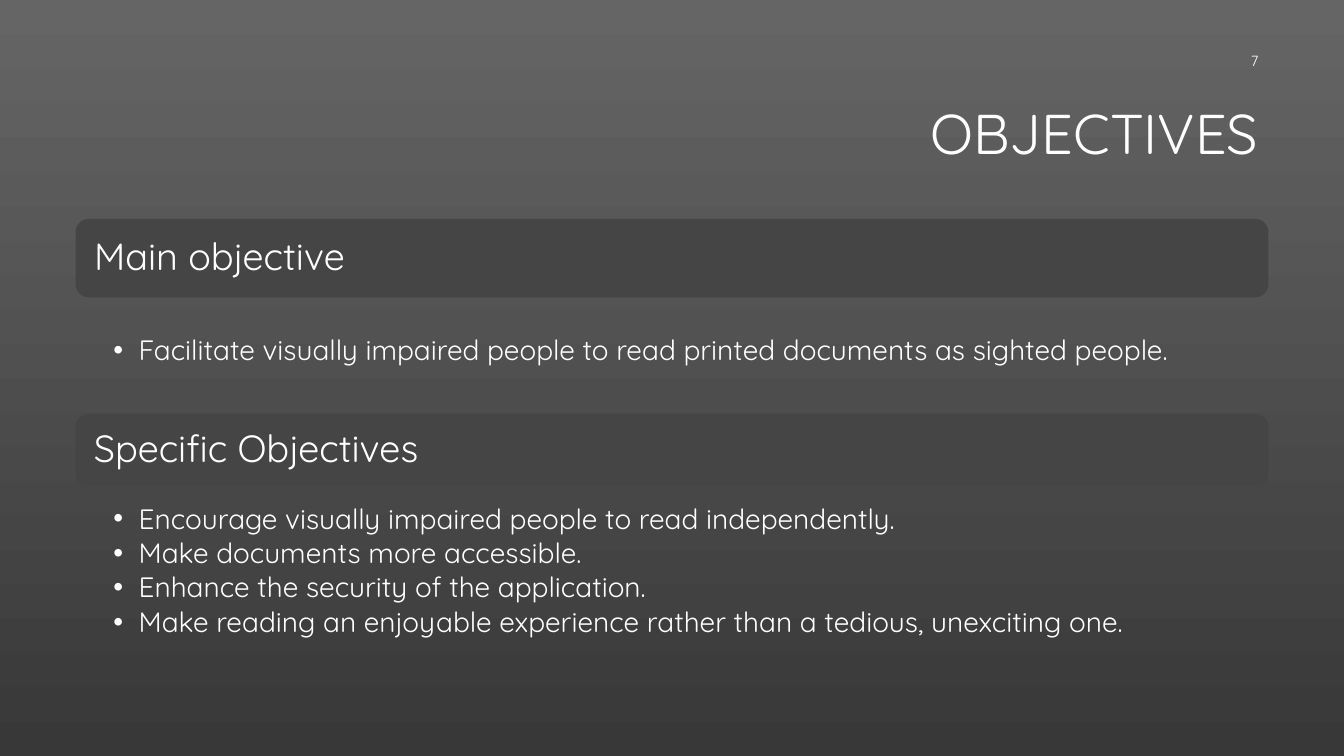
"""Build the Objectives slide with two headed bullet lists."""
from pptx import Presentation
from pptx.dml.color import RGBColor
from pptx.enum import shapes, text
from pptx.util import Pt

WHITE = RGBColor(0xFF, 0xFF, 0xFF)
BAR = RGBColor(0x45, 0x45, 0x45)
BACKGROUND_TOP = RGBColor(0x65, 0x65, 0x65)
BACKGROUND_BOTTOM = RGBColor(0x38, 0x38, 0x38)
FONT = "Quicksand"
LEFT, WIDTH = 54, 852

SECTIONS = [
    ("Main objective", 156.4, 56, 83.5, 27.7, [
        "Facilitate visually impaired people to read printed documents as sighted people.",
    ]),
    ("Specific Objectives", 295.9, 51.2, 117.4, 13.5, [
        "Encourage visually impaired people to read independently.",
        "Make documents more accessible.",
        "Enhance the security of the application.",
        "Make reading an enjoyable experience rather than a tedious, unexciting one.",
    ]),
]


def place(shape, left, top, width, height):
    """Set the position and size of a shape in points."""
    shape.left, shape.top = Pt(left), Pt(top)
    shape.width, shape.height = Pt(width), Pt(height)


def prepare_frame(shape, anchor):
    """Return the wrapped text frame of a shape with a fixed size."""
    frame = shape.text_frame
    frame.word_wrap = True
    frame.auto_size = text.MSO_AUTO_SIZE.NONE
    frame.vertical_anchor = anchor
    return frame


def write(paragraph, words, size, alignment=text.PP_ALIGN.LEFT):
    """Add one white run to a paragraph."""
    paragraph.alignment = alignment
    paragraph.line_spacing = 0.9
    paragraph.space_before = Pt(0)
    run = paragraph.add_run()
    run.text = words
    run.font.name = FONT
    run.font.size = Pt(size)
    run.font.color.rgb = WHITE


def paint_background(slide):
    """Fill the slide with a gradient from top to bottom."""
    fill = slide.background.fill
    fill.gradient()
    fill.gradient_angle = 270
    for stop, color in zip(fill.gradient_stops, (BACKGROUND_TOP, BACKGROUND_BOTTOM)):
        stop.color.rgb = color


def add_right_text(shape, words, size):
    """Write one right-aligned line in the middle of a shape."""
    frame = prepare_frame(shape, text.MSO_ANCHOR.MIDDLE)
    write(frame.paragraphs[0], words, size, text.PP_ALIGN.RIGHT)


def add_heading_bar(slide, heading, top, height):
    """Add a rounded bar that holds a section heading."""
    bar = slide.shapes.add_shape(
        shapes.MSO_SHAPE.ROUNDED_RECTANGLE, Pt(LEFT), Pt(top), Pt(WIDTH), Pt(height))
    bar.shadow.inherit = False
    bar.fill.solid()
    bar.fill.fore_color.rgb = BAR
    bar.line.fill.background()
    frame = prepare_frame(bar, text.MSO_ANCHOR.MIDDLE)
    frame.margin_left = Pt(10.5)
    write(frame.paragraphs[0], heading, 27)


def fill_list(placeholder, items, top, height, inset):
    """Place a body placeholder and fill it with bullets."""
    place(placeholder, LEFT, top, WIDTH, height)
    frame = prepare_frame(placeholder, text.MSO_ANCHOR.TOP)
    frame.margin_left, frame.margin_right = Pt(27), Pt(6)
    frame.margin_top, frame.margin_bottom = Pt(inset), Pt(1)
    for index, item in enumerate(items):
        paragraph = frame.add_paragraph() if index else frame.paragraphs[0]
        write(paragraph, item, 20)
        paragraph.space_after = Pt(3)
        properties = paragraph._p.get_or_add_pPr()
        properties.set("marL", str(Pt(18)))
        properties.set("indent", str(Pt(-18)))


def main():
    """Create and save the presentation."""
    presentation = Presentation()
    presentation.slide_width, presentation.slide_height = Pt(960), Pt(540)
    slide = presentation.slides.add_slide(presentation.slide_layouts[3])
    paint_background(slide)
    title = slide.shapes.title
    place(title, 228, 46.8, 678, 101.5)
    add_right_text(title, "OBJECTIVES", 40)
    bodies = list(slide.placeholders)[1:]
    for body, section in zip(bodies, SECTIONS):
        heading, top, bar_height, list_height, inset, items = section
        add_heading_bar(slide, heading, top, bar_height)
        fill_list(body, items, top + bar_height, list_height, inset)
    number = slide.shapes.add_textbox(Pt(690), Pt(30), Pt(216), Pt(28.8))
    add_right_text(number, "7", 10.5)
    presentation.save("out.pptx")


if __name__ == "__main__":
    main()
